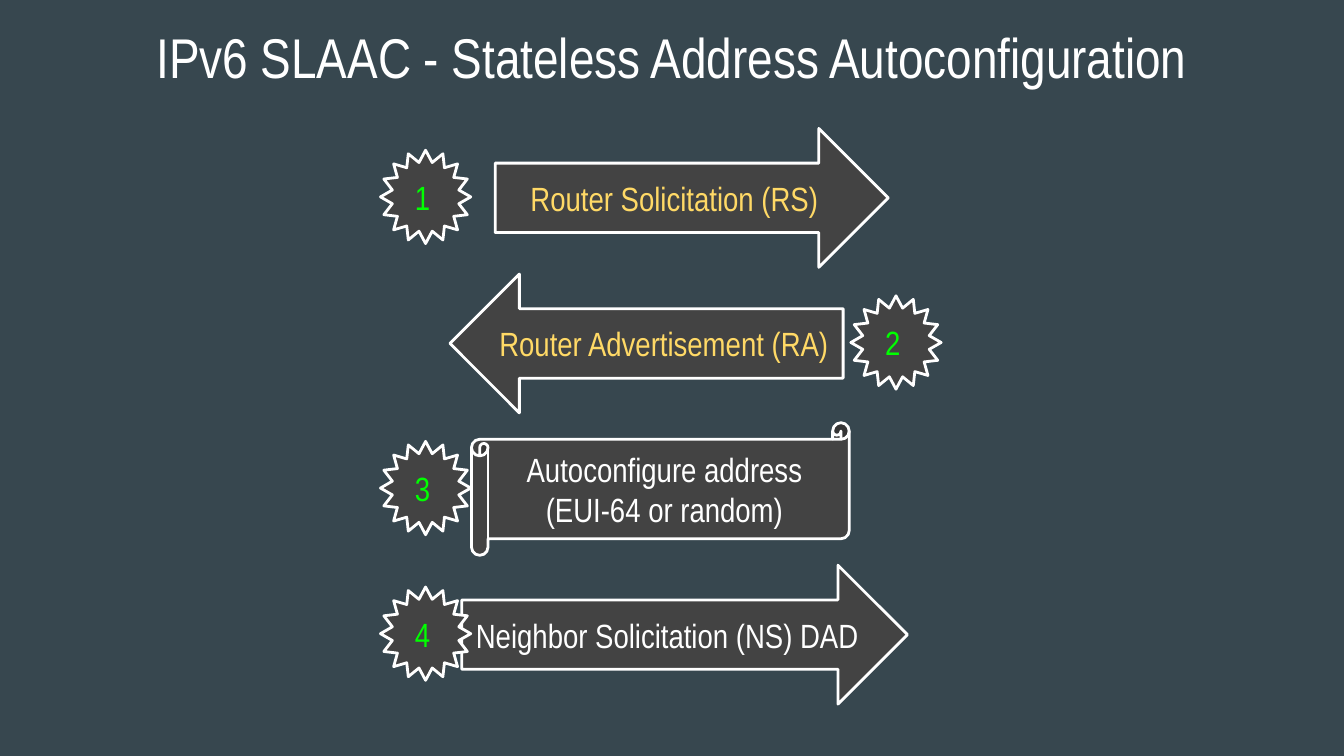
from pptx import Presentation
from pptx.dml.color import RGBColor
from pptx.enum.shapes import MSO_SHAPE
from pptx.enum.text import MSO_ANCHOR, MSO_AUTO_SIZE, PP_ALIGN
from pptx.util import Pt

WHITE, YELLOW, GREEN, GRAY = "FFFFFF", "FFD966", "00FF00", "434343"


def write(shape, text, size, color, align, anchor):
    frame = shape.text_frame
    frame.word_wrap = True
    frame.auto_size = MSO_AUTO_SIZE.NONE
    frame.vertical_anchor = anchor
    frame.margin_left = frame.margin_right = Pt(7.2)
    frame.margin_top = frame.margin_bottom = Pt(7.2)
    para = frame.paragraphs[0]
    para.alignment = align
    span = para.add_run()
    span.text = text
    span.font.name = "Arial Narrow"
    span.font.size = Pt(size)
    span.font.color.rgb = RGBColor.from_string(color)


def add_step_shape(kind, left, top, width, height, text, color, align):
    shape = page.shapes.add_shape(kind, Pt(left), Pt(top), Pt(width), Pt(height))
    shape.shadow.inherit = False
    shape.fill.solid()
    shape.fill.fore_color.rgb = RGBColor.from_string(GRAY)
    shape.line.color.rgb = RGBColor.from_string(WHITE)
    shape.line.width = Pt(1.5)
    write(shape, text, 18, color, align, MSO_ANCHOR.MIDDLE)


deck = Presentation()
deck.slide_width = Pt(720)
deck.slide_height = Pt(405)
page = deck.slides.add_slide(deck.slide_layouts[5])
page.background.fill.solid()
page.background.fill.fore_color.rgb = RGBColor.from_string("37474F")

title = page.shapes.title
title.left, title.top, title.width, title.height = Pt(24.5), Pt(5), Pt(671), Pt(45.4)
write(title, "IPv6 SLAAC - Stateless Address Autoconfiguration", 30, WHITE,
      PP_ALIGN.CENTER, MSO_ANCHOR.TOP)

steps = [
    (MSO_SHAPE.RIGHT_ARROW, 265.3, 210.6, 74.4, "Router Solicitation (RS)", YELLOW, 203.8),
    (MSO_SHAPE.LEFT_ARROW, 241.1, 210.6, 74.4, "Router Advertisement (RA)", YELLOW, 455.8),
    (MSO_SHAPE.HORIZONTAL_SCROLL, 252.6, 202.4, 71,
     "Autoconfigure address (EUI-64 or random)", WHITE, 203.8),
    (MSO_SHAPE.RIGHT_ARROW, 247.4, 238.7, 74.4, "Neighbor Solicitation (NS) DAD", WHITE, 203.8),
]
for index, (kind, left, width, height, text, color, star_left) in enumerate(steps):
    middle = 106 + 78 * index
    add_step_shape(kind, left, middle - height / 2, width, height, text, color,
                   PP_ALIGN.CENTER)
    add_step_shape(MSO_SHAPE.STAR_16_POINT, star_left, middle - 25.5, 48.4, 50,
                   str(index + 1), GREEN, PP_ALIGN.LEFT)

deck.save("out.pptx")
